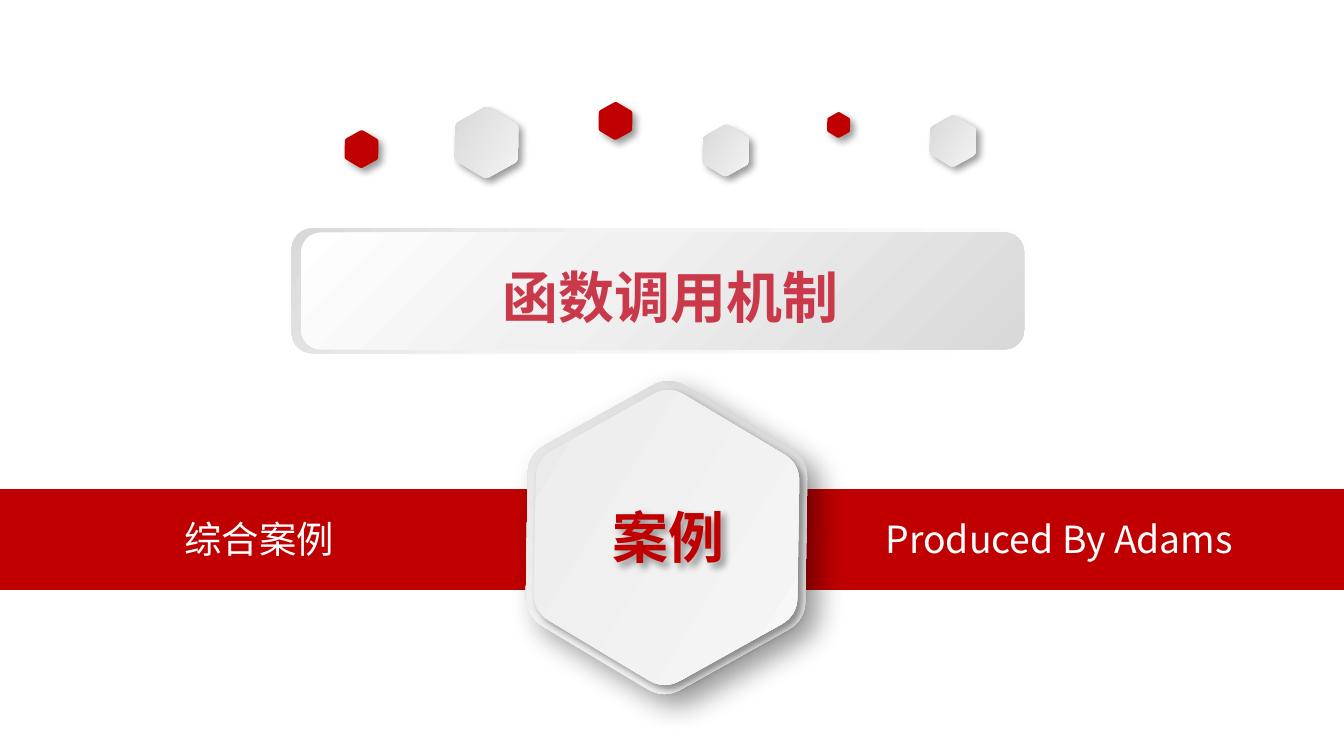
from math import cos, sin, radians, sqrt
from lxml.etree import SubElement
from pptx import Presentation
from pptx.dml.color import RGBColor
from pptx.enum.shapes import MSO_SHAPE
from pptx.enum.text import MSO_ANCHOR, PP_ALIGN
from pptx.oxml.ns import qn
from pptx.util import Inches, Pt

RED = RGBColor(0xC0, 0x00, 0x00)
ROSE = RGBColor(0xC9, 0x39, 0x4A)
WHITE = RGBColor(0xFF, 0xFF, 0xFF)
PALE = RGBColor(0xF9, 0xF9, 0xF9)
MIST = RGBColor(0xE9, 0xE9, 0xE9)
SILVER = RGBColor(0xD3, 0xD3, 0xD3)
GREY = RGBColor(0xD9, 0xD9, 0xD9)
LIGHT = RGBColor(0xF2, 0xF2, 0xF2)
SOFT = RGBColor(0xF0, 0xF0, 0xF0)
BLACK = RGBColor(0x00, 0x00, 0x00)
FONT = "Noto Sans CJK SC"
TILT = 30.9


def set_fill(sp, paint):
    sp.shadow.inherit = False
    sp.line.fill.background()
    if isinstance(paint, RGBColor):
        sp.fill.solid()
        sp.fill.fore_color.rgb = paint
        return
    stops, angle = paint
    sp.fill.gradient()
    sp.fill.gradient_angle = angle
    gs_list = sp._element.spPr.find(qn("a:gradFill")).find(qn("a:gsLst"))
    for gs in list(gs_list):
        gs_list.remove(gs)
    for pos, color in stops:
        gs = SubElement(gs_list, qn("a:gs"), pos=str(pos * 1000))
        SubElement(gs, qn("a:srgbClr"), val=str(color))


def set_shadow(sp, blur=4, dist=3):
    sp.shadow.inherit = False
    effects = sp._element.spPr.find(qn("a:effectLst"))
    shadow = SubElement(effects, qn("a:outerShdw"), blurRad=str(Pt(blur)),
                        dist=str(Pt(dist)), dir="2700000", algn="tl",
                        rotWithShape="0")
    color = SubElement(shadow, qn("a:srgbClr"), val=str(BLACK))
    SubElement(color, qn("a:alpha"), val="40000")


def set_text(sp, text, size, color, bold=False, align=PP_ALIGN.CENTER):
    tf = sp.text_frame
    frame = {"word_wrap": True, "vertical_anchor": MSO_ANCHOR.MIDDLE,
             "margin_left": Inches(0.1), "margin_right": Inches(0.1),
             "margin_top": Inches(0.05), "margin_bottom": Inches(0.05)}
    for name, value in frame.items():
        setattr(tf, name, value)
    p = tf.paragraphs[0]
    p.alignment = align
    r = p.add_run()
    r.text = text
    for name, value in {"name": FONT, "size": Pt(size), "bold": bold}.items():
        setattr(r.font, name, value)
    r.font.color.rgb = color
    SubElement(r._r.get_or_add_rPr(), qn("a:ea"), typeface=FONT)


def add_box(s, kind, x, y, w, h, paint):
    sp = s.shapes.add_shape(kind, Inches(x), Inches(y), Inches(w), Inches(h))
    set_fill(sp, paint)
    return sp


def add_label(s, x, y, w, h, text, align):
    sp = s.shapes.add_textbox(Inches(x), Inches(y), Inches(w), Inches(h))
    set_text(sp, text, 20, WHITE, align=align)


def add_hexagon(s, cx, cy, height, paint, **shadow):
    radius = height / sqrt(3)
    corners = [(cx + radius * cos(radians(60 * i)),
                cy + radius * sin(radians(60 * i))) for i in range(6)]
    trim, steps, points = 0.12, 8, []
    for i, (x, y) in enumerate(corners):
        (ax, ay), (bx, by) = corners[i - 1], corners[(i + 1) % 6]
        for t in (k / steps for k in range(steps + 1)):
            a, b = trim * (1 - t) ** 2, trim * t ** 2
            points.append((Inches(x + a * (ax - x) + b * (bx - x)),
                           Inches(y + a * (ay - y) + b * (by - y))))
    fb = s.shapes.build_freeform(*points[0], scale=1.0)
    fb.add_line_segments(points[1:], close=True)
    sp = fb.convert_to_shape()
    sp.rotation = TILT
    set_fill(sp, paint)
    set_shadow(sp, **shadow)


def add_band(s, x, y, w, h):
    add_box(s, MSO_SHAPE.RECTANGLE, x, y, w, h, RED)
    add_label(s, x + 0.17, y + 0.15, 3.52, 0.44, "综合案例", PP_ALIGN.CENTER)
    add_label(s, x + 6.49, y + 0.15, 3.5, 0.44, "Produced By Adams",
              PP_ALIGN.LEFT)


def add_hexagon_row(s, x, y):
    silver = ([(0, SILVER), (100, PALE)], 0)
    for dx, dy, height, paint in [
            (1.07, 0.3, 0.47, silver), (2.03, 0.14, 0.25, RED),
            (0.14, 0.35, 0.25, RED), (2.85, 0.36, 0.34, silver),
            (3.69, 0.17, 0.17, RED), (4.54, 0.29, 0.34, silver)]:
        add_hexagon(s, x + dx, y + dy, height, paint)


def add_badge(s, cx, cy):
    add_hexagon(s, cx, cy, 2.08, ([(0, SILVER), (100, PALE)], 270),
                blur=15, dist=9)
    add_hexagon(s, cx, cy, 1.96, ([(0, MIST), (100, PALE)], 0))
    sp = s.shapes.add_shape(MSO_SHAPE.ROUNDED_RECTANGLE, Inches(cx - 0.97),
                            Inches(cy - 0.26), Inches(1.97), Inches(0.5))
    sp.fill.background()
    sp.line.fill.background()
    set_shadow(sp)
    set_text(sp, "案例", 30, RED, bold=True)


def add_title_plate(s, x, y, w, h):
    add_box(s, MSO_SHAPE.ROUNDED_RECTANGLE, x, y, w, h,
            ([(0, WHITE), (62, LIGHT), (100, GREY)], 135))
    add_box(s, MSO_SHAPE.ROUNDED_RECTANGLE, x + 0.07, y + 0.03, w - 0.1,
            h - 0.06, ([(0, WHITE), (42, SOFT), (100, GREY)], 315))
    title = s.shapes.title
    place = {"left": x + 0.08, "top": y + 0.2, "width": w, "height": 0.6}
    for name, value in place.items():
        setattr(title, name, Inches(value))
    set_text(title, "函数调用机制", 30, ROSE, bold=True)
    s.shapes._spTree.append(title._element)


prs = Presentation()
prs.slide_width = Inches(10)
prs.slide_height = prs.slide_width * 9 // 16
s = prs.slides.add_slide(prs.slide_layouts[5])
add_band(s, 0, 3.64, 10, 0.75)
add_hexagon_row(s, 2.55, 0.76)
add_badge(s, 4.96, 4)
add_title_plate(s, 2.17, 1.7, 5.48, 0.93)
prs.save("out.pptx")
